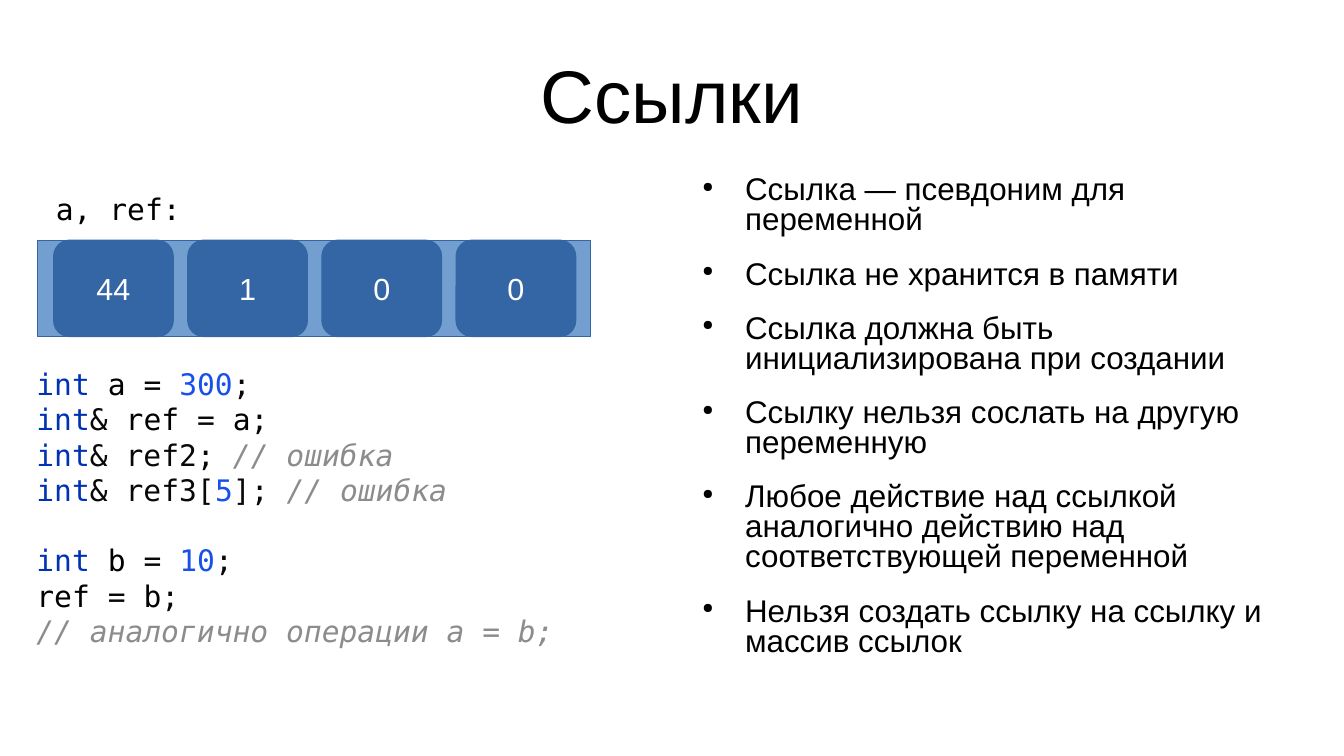
from lxml import etree
from pptx import Presentation, util as u
from pptx.dml.color import RGBColor
from pptx.enum import shapes, text
from pptx.oxml.ns import qn

# Content
TITLE = "Ссылки"
LABEL = "a, ref:"
MEMORY_BYTES = ["44", "1", "0", "0"]
FACTS = [
    "Ссылка — псевдоним для переменной",
    "Ссылка не хранится в памяти",
    "Ссылка должна быть инициализирована при создании",
    "Ссылку нельзя сослать на другую переменную",
    "Любое действие над ссылкой аналогично действию над соответствующей переменной",
    "Нельзя создать ссылку на ссылку и массив ссылок",
]
# Each code line is a list of (text, token kind); a group is set off by a gap
CODE_GROUPS = [
    [
        [("int ", "keyword"), ("a ", "black"), ("= ", "code"), ("300", "number"), (";", "code")],
        [("int", "keyword"), ("& ", "code"), ("ref ", "black"), ("= ", "code"),
         ("a", "black"), (";", "code")],
        [("int", "keyword"), ("& ref2; ", "code"), ("// ошибка", "comment")],
        [("int", "keyword"), ("& ref3[", "code"), ("5", "number"), ("]; ", "code"),
         ("// ошибка", "comment")],
    ],
    [
        [("int ", "keyword"), ("b ", "black"), ("= ", "code"), ("10", "number"), (";", "code")],
        [("ref ", "black"), ("= ", "code"), ("b", "black"), (";", "code")],
        [("// аналогично операции a = b;", "comment")],
    ],
]

# Style
COLORS = {
    "black": "000000", "white": "FFFFFF", "strip": "729FCF", "cell": "3465A4",
    "keyword": "0033B3", "number": "1750EB", "code": "080808", "comment": "8C8C8C",
}
SANS, MONO = "Arial", "DejaVu Sans Mono"
CODE_SIZE, CODE_GAP = 17.5, 20.4
PADDING = (0.1, 0.05)

# Grid, in inches
WIDTH, HEIGHT = 11.02, 6.2
STRIP = (0.31, 1.97, 4.53, 0.79)
CELL_LEFT, CELL_WIDTH, CELL_PITCH = 0.44, 0.98, 1.1

deck = Presentation()
deck.slide_width, deck.slide_height = u.Inches(WIDTH), u.Inches(HEIGHT)
page = deck.slides.add_slide(deck.slide_layouts[6])


def color(name):
    return RGBColor.from_string(COLORS[name])


def write(box, lines, size, font=SANS, align=text.PP_ALIGN.LEFT,
          anchor=text.MSO_ANCHOR.TOP, padding=PADDING):
    """Fill a shape with lines, each a list of (text, color name); return paragraphs."""
    frame = box.text_frame
    frame.word_wrap = True
    frame.vertical_anchor = anchor
    frame.margin_left = frame.margin_right = u.Inches(padding[0])
    frame.margin_top = frame.margin_bottom = u.Inches(padding[1])
    paras = []
    for index, line in enumerate(lines):
        para = frame.add_paragraph() if index else frame.paragraphs[0]
        para.alignment = align
        for words, kind in line:
            span = para.add_run()
            span.text = words
            span.font.name, span.font.size = font, u.Pt(size)
            span.font.color.rgb = color(kind)
            span.font.italic = kind == "comment"
        paras.append(para)
    return paras


def add_text(area, lines, size, **style):
    return write(page.shapes.add_textbox(*map(u.Inches, area)), lines, size, **style)


def add_block(preset, area, fill):
    block = page.shapes.add_shape(preset, *map(u.Inches, area))
    block.shadow.inherit = False
    block.fill.solid()
    block.fill.fore_color.rgb = color(fill)
    block.line.color.rgb = color("cell")
    block.line.width = u.Pt(0)
    return block


def add_bullet(para):
    props = para._p.get_or_add_pPr()
    props.set("marL", str(u.Inches(0.47)))
    props.set("indent", str(u.Inches(-0.35)))
    tint = etree.SubElement(props, qn("a:buClr"))
    etree.SubElement(tint, qn("a:srgbClr"), val=COLORS["black"])
    etree.SubElement(props, qn("a:buSzPct"), val="45000")
    etree.SubElement(props, qn("a:buChar"), char="●")


# Title
add_text((0.55, 0.25, 9.92, 1.04), [[(TITLE, "black")]], 44,
         align=text.PP_ALIGN.CENTER, anchor=text.MSO_ANCHOR.MIDDLE, padding=(0, 0))

# Facts about references
for para in add_text((5.64, 1.45, 4.84, 4.26), [[(fact, "black")] for fact in FACTS],
                     18.5, padding=(0, 0)):
    para.line_spacing = 0.8
    para.space_before = u.Pt(14.2)
    add_bullet(para)

# Memory strip with one cell per byte
add_block(shapes.MSO_SHAPE.RECTANGLE, STRIP, "strip")
for index, value in enumerate(MEMORY_BYTES):
    area = (CELL_LEFT + index * CELL_PITCH, STRIP[1], CELL_WIDTH, STRIP[3])
    cell = add_block(shapes.MSO_SHAPE.ROUNDED_RECTANGLE, area, "cell")
    write(cell, [[(value, "white")]], 18,
          align=text.PP_ALIGN.CENTER, anchor=text.MSO_ANCHOR.MIDDLE)

# Code sample
first_group, second_group = CODE_GROUPS
code = add_text((0.2, 2.95, 5.12, 2.43), first_group + second_group, CODE_SIZE, font=MONO)
code[len(first_group)].space_before = u.Pt(CODE_GAP)

# Strip label
add_text((0.36, 1.52, 1.41, 0.37), [[(LABEL, "black")]], CODE_SIZE, font=MONO)

deck.save("out.pptx")
